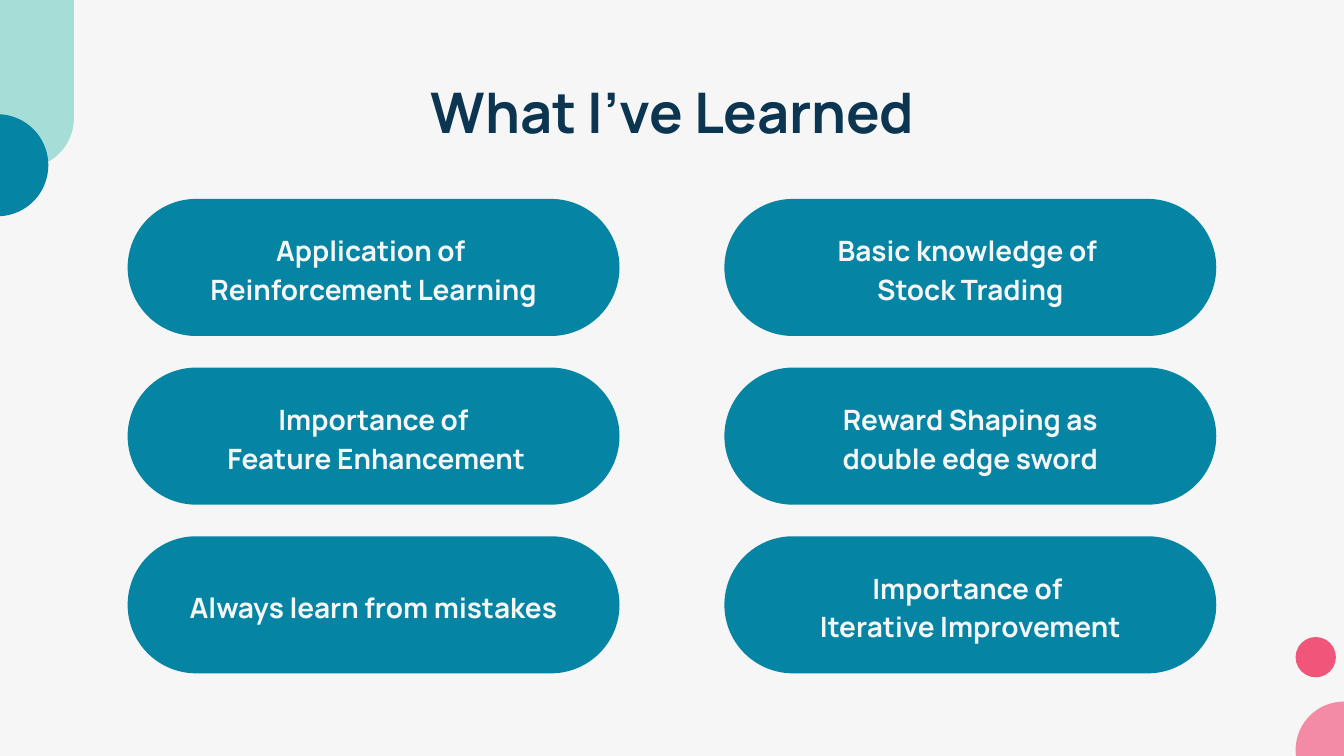
from lxml import etree
from pptx import Presentation
from pptx.dml.color import RGBColor
from pptx.enum.shapes import MSO_SHAPE as Preset
from pptx.enum.text import MSO_ANCHOR as Anchor, MSO_AUTO_SIZE as AutoSize, PP_ALIGN as Align
from pptx.oxml.ns import qn
from pptx.util import Inches, Pt

NAVY, TEAL, MINT, PINK, PAPER = "0B3550", "0584A4", "74CEC4", "F2557A", "F6F6F6"


def paint(target, color, opacity=100):
    target.solid()
    target.fore_color.rgb = RGBColor.from_string(color)
    if opacity < 100:
        tint = target._xPr.find(".//" + qn("a:srgbClr"))
        etree.SubElement(tint, qn("a:alpha")).set("val", str(opacity * 1000))


def write(frame, words, size, color, spacing):
    frame.text = words
    frame.word_wrap = True
    for paragraph in frame.paragraphs:
        paragraph.alignment = Align.CENTER
        paragraph.line_spacing = spacing
        for run in paragraph.runs:
            run.font.name = "Manrope"
            run.font.size = Pt(size)
            run.font.bold = True
            run.font.color.rgb = RGBColor.from_string(color)


deck = Presentation()
deck.slide_width = Inches(10)
deck.slide_height = deck.slide_width * 9 // 16
slide = deck.slides.add_slide(deck.slide_layouts[5])
paint(slide.background.fill, PAPER)

corner_accents = [
    (Preset.OVAL, 9.64, 4.74, 0.3, 0.3, PINK, 100, []),
    (Preset.ROUNDED_RECTANGLE, -0.19, -0.75, 0.74, 2, MINT, 61, [0.5]),
    (Preset.CHORD, -0.4, 0.85, 0.76, 0.76, TEAL, 100, [162, 54]),
    (Preset.OVAL, 9.64, 5.22, 0.72, 0.72, PINK, 66, []),
]
for preset, left, top, width, height, color, opacity, bends in corner_accents:
    accent = slide.shapes.add_shape(preset, *map(Inches, (left, top, width, height)))
    accent.shadow.inherit = False
    accent.line.fill.background()
    paint(accent.fill, color, opacity)
    for index, bend in enumerate(bends):
        accent.adjustments[index] = bend

heading = slide.shapes.title
heading.left, heading.top, heading.width, heading.height = map(Inches, (0.79, 0.49, 8.43, 0.63))
write(heading.text_frame, "What I’ve Learned", 30, NAVY, 1)
heading.text_frame.auto_size = AutoSize.NONE
heading.text_frame.vertical_anchor = Anchor.BOTTOM
heading.text_frame.margin_top = 0
heading.text_frame.margin_bottom = Inches(0.04)

lessons = [
    ["Application of \vReinforcement Learning", "Basic knowledge of \vStock Trading"],
    ["Importance of\v Feature Enhancement", "Reward Shaping as\vdouble edge sword"],
    ["Always learn from mistakes", "Importance of \vIterative Improvement"],
]
grid_left, grid_top, last_row_top = 0.95, 1.48, 3.99
column_step, row_step = 4.44, (last_row_top - grid_top) / 2
pill_width, pill_height = 3.66, 1.02
for row, pair in enumerate(lessons):
    for column, lesson in enumerate(pair):
        left, top = grid_left + column * column_step, grid_top + row * row_step
        pill = slide.shapes.add_shape(
            Preset.ROUNDED_RECTANGLE, *map(Inches, (left, top, pill_width, pill_height)))
        pill.adjustments[0] = 0.5
        pill.shadow.inherit = False
        pill.line.fill.background()
        paint(pill.fill, TEAL)
        write(pill.text_frame, lesson, 15, PAPER, 1.15)
        pill.text_frame.vertical_anchor = Anchor.MIDDLE
        pill.text_frame.margin_top = pill.text_frame.margin_bottom = Inches(0.1)

deck.save("out.pptx")
